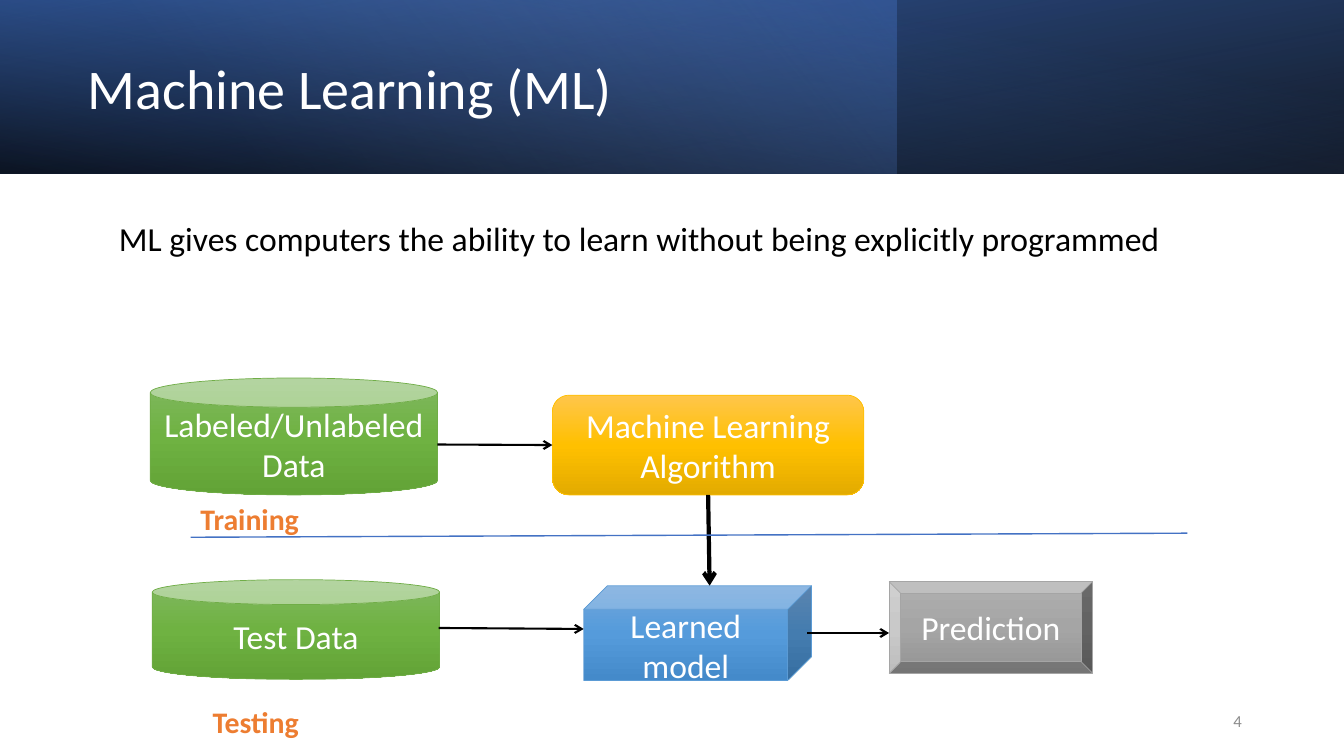
from lxml import etree
from pptx import Presentation
from pptx.dml.color import RGBColor
from pptx.enum.shapes import MSO_CONNECTOR, MSO_SHAPE as Kind
from pptx.enum.text import MSO_ANCHOR as Anchor, MSO_AUTO_SIZE as AutoSize, PP_ALIGN as Align
from pptx.oxml import parse_xml
from pptx.oxml.ns import nsdecls, qn
from pptx.util import Inches, Pt

color = RGBColor.from_string

deck = Presentation()
deck.slide_width, deck.slide_height = Inches(13.33), Inches(7.5)
slide = deck.slides.add_slide(deck.slide_layouts[1])
shapes = slide.shapes
title, body = slide.placeholders

# The slide is a grid of 100 columns and 100 rows.
COL, ROW = deck.slide_width / 100, deck.slide_height / 100


def gradient_shape(kind, left, top, width, height, stops, angle):
    """Add a shape; stops are (position %, colour, opacity %), angle runs clockwise."""
    shape = shapes.add_shape(kind, int(left * COL), int(top * ROW),
                             int(width * COL), int(height * ROW))
    shape.shadow.inherit = False
    shape.line.fill.background()
    shape.fill.background()
    stop_list = "".join(
        f'<a:gs pos="{position * 1000}"><a:srgbClr val="{tint}">'
        f'<a:alpha val="{opacity * 1000}"/></a:srgbClr></a:gs>'
        for position, tint, opacity in stops)
    gradient = parse_xml(
        f'<a:gradFill {nsdecls("a")} rotWithShape="1"><a:gsLst>{stop_list}</a:gsLst>'
        f'<a:lin ang="{angle * 60000}" scaled="0"/></a:gradFill>')
    properties = shape.element.spPr
    properties.replace(properties.find(qn("a:noFill")), gradient)
    return shape


def write(box, text, size, tint, align=Align.LEFT, anchor=Anchor.TOP, bold=False, wrap=True):
    """Put one formatted run into a box and return its paragraph."""
    frame = box.text_frame
    frame.word_wrap = wrap
    frame.auto_size = AutoSize.NONE
    frame.vertical_anchor = anchor
    paragraph = frame.paragraphs[0]
    paragraph.alignment = align
    run = paragraph.add_run()
    run.text = text
    run.font.name, run.font.size, run.font.bold = "Calibri", Pt(size), bold
    run.font.color.rgb = color(tint)
    return paragraph


# Header band: three layered gradients
BAND = 22.93
base = gradient_shape(Kind.RECTANGLE, 0, 0, 100, BAND,
                      [(0, "000000", 96), (100, "2F5597", 100)], 100)
base.rotation = 180
gradient_shape(Kind.RECTANGLE, 0, 0, 66.68, BAND,
               [(0, "4472C4", 41), (74, "8FAADC", 0)], 140)
shade = gradient_shape(Kind.RECTANGLE, 0, 0, 100, BAND,
                       [(0, "000000", 63), (78, "4472C4", 15)], 260)
for mirrored in (base, shade):
    mirrored.element.spPr.xfrm.set("flipH", "1")

# Title and body, raised above the band
for holder, (left, top, width, height) in (
        (title, (5.78, 3.6, 57.9, 16.93)),
        (body, (8.1, 28.8, 86.25, 63.47))):
    holder.left, holder.top = int(left * COL), int(top * ROW)
    holder.width, holder.height = int(width * COL), int(height * ROW)
    shapes.element.append(holder.element)

heading = write(title, "Machine Learning (ML)", 40, "FFFFFF", anchor=Anchor.MIDDLE)
heading.line_spacing = 0.9
definition = write(
    body, "ML gives computers the ability to learn without being explicitly programmed",
    24, "000000")
definition.line_spacing = 0.9
definition.space_before, definition.space_after = Pt(0), Pt(16)
indents = definition._p.get_or_add_pPr()
indents.set("marL", "0")
indents.set("indent", "0")
etree.SubElement(indents, qn("a:buNone"))

# Steps of the two flows
GREEN = ("81B861", "6FB242", "62A336", "70AD47")
GOLD = ("FFC64B", "FFC000", "E3AB00", "FFC000")
BLUE = ("71A6DB", "559BDB", "448ACA", "5B9BD5")
GRAY = ("AFAFAF", "A5A5A5", "939393", "A5A5A5")
steps = {}
for text, kind, place, (light, middle, dark, edge) in (
        ("Labeled/Unlabeled Data", Kind.CAN, (11.18, 50, 21.38, 15.47), GREEN),
        ("Machine Learning Algorithm", Kind.ROUNDED_RECTANGLE, (41.1, 52.27, 23.18, 13.2), GOLD),
        ("Learned model", Kind.CUBE, (43.43, 77.47, 16.95, 12.53), BLUE),
        ("Prediction", Kind.BEVEL, (66.15, 76.93, 15.15, 12.13), GRAY),
        ("Test Data", Kind.CAN, (11.33, 76.67, 21.38, 13.2), GREEN)):
    step = gradient_shape(kind, *place,
                          [(0, light, 100), (50, middle, 100), (100, dark, 100)], 90)
    step.line.color.rgb = color(edge)
    step.line.width = Pt(0.5)
    write(step, text, 24, "FFFFFF", Align.CENTER, Anchor.MIDDLE)
    steps[text] = step

# Arrows and the divider between training and testing
links = []
for x1, y1, x2, y2, tint, weight, arrow in (
        (32.55, 58.8, 41.1, 58.8, "000000", 1.5, True),
        (52.69, 65.47, 52.8, 77.47, "000000", 3, True),
        (60.08, 83.73, 66.15, 83.73, "000000", 1.5, True),
        (32.63, 83.07, 43.43, 83.2, "000000", 1.5, True),
        (14.18, 71.07, 88.35, 70.53, "4472C4", 1, False)):
    link = shapes.add_connector(MSO_CONNECTOR.STRAIGHT, int(x1 * COL), int(y1 * ROW),
                                int(x2 * COL), int(y2 * ROW))
    link.line.color.rgb = color(tint)
    link.line.width = Pt(weight)
    if arrow:
        etree.SubElement(link.line._get_or_add_ln(), qn("a:tailEnd"), type="arrow")
    etree.SubElement(link.element.spPr, qn("a:effectLst"))
    links.append(link)
algorithm = steps["Machine Learning Algorithm"]
links[0].end_connect(algorithm, 1)
links[1].begin_connect(algorithm, 2)

# Phase labels and slide number
for text, (left, top, width, height), size, tint, align, anchor, bold in (
        ("Training", (14.18, 65.6, 8.93, 6.13), 21.3, "ED7D31", Align.LEFT, Anchor.TOP, True),
        ("Testing", (15.08, 92.4, 8.03, 6.13), 21.3, "ED7D31", Align.LEFT, Anchor.TOP, True),
        ("4", (70.65, 92.67, 22.5, 5.33), 12, "8C8C8C", Align.RIGHT, Anchor.MIDDLE, False)):
    label = shapes.add_textbox(int(left * COL), int(top * ROW),
                               int(width * COL), int(height * ROW))
    write(label, text, size, tint, align, anchor, bold, wrap=not bold)

deck.save("out.pptx")
